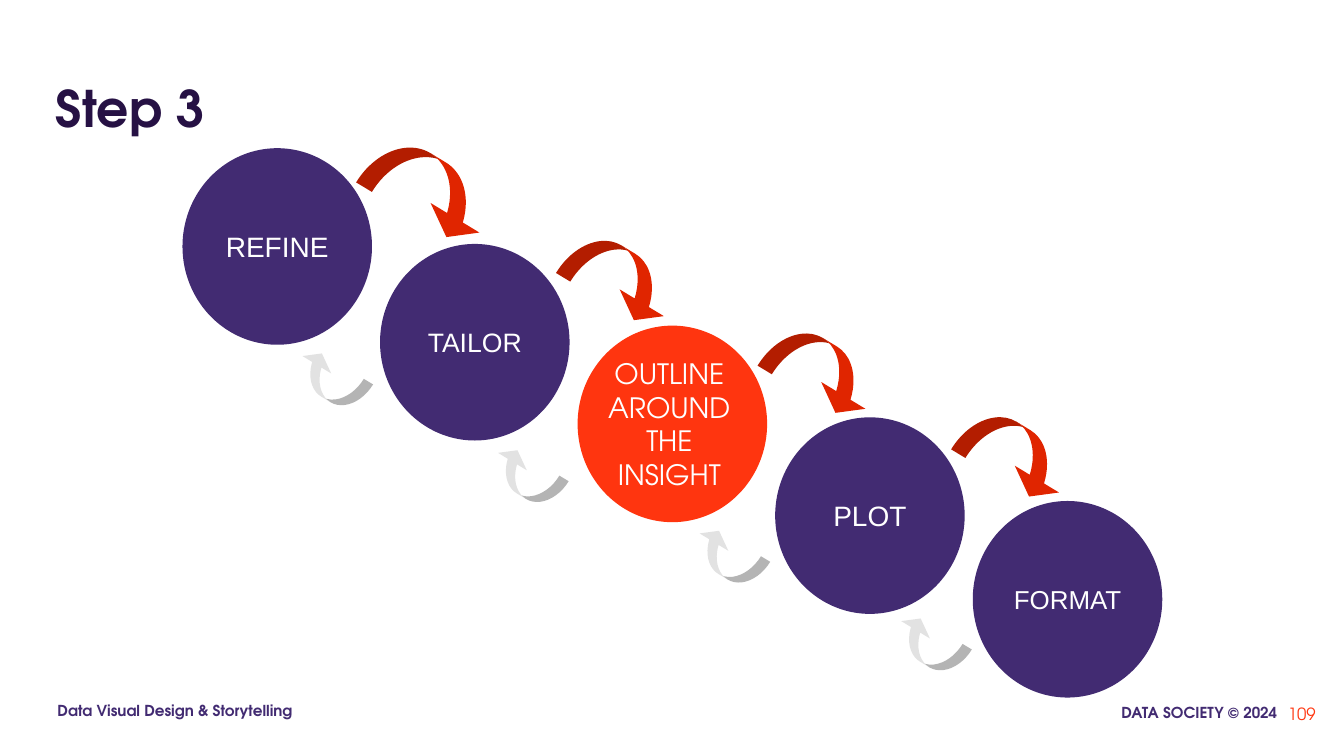
from dataclasses import dataclass

from pptx import Presentation
from pptx.dml.color import RGBColor as Rgb
from pptx.enum.shapes import MSO_SHAPE as Preset
from pptx.enum.text import MSO_ANCHOR as Anchor, PP_ALIGN as Align
from pptx.util import Inches, Pt

WIDTH, HEIGHT = Inches(13.33), Inches(7.5)


@dataclass(frozen=True)
class Theme:
    brand_font: str = "TeX Gyre Adventor"
    step_font: str = "Arial"
    purple: str = "422B72"
    ink: str = "261144"
    orange: str = "FF350F"
    forward: str = "E02500"
    back: str = "E2E2E2"
    white: str = "FFFFFF"
    title_size: float = 36
    step_size: float = 20
    number_size: float = 12
    footer_size: float = 10.8


THEME = Theme()
CIRCLE_SIZE = (14.1, 26)
FIRST_LEFT, STEP_PITCH = 13.58, 14.7
STEPS = [
    ("REFINE", 19.6, 20),
    ("TAILOR", 32.27, 19),
    ("", 43.07, 20),
    ("PLOT", 55.2, 20),
    ("FORMAT", 66.27, 18.5),
]
FORWARD_ARROWS = [
    (27, 20.93, 9.98, 8.4),
    (41.85, 33.07, 8.7, 7.6),
    (56.85, 45.33, 8.7, 7.6),
    (71.25, 56.4, 8.7, 7.6),
]
BACK_SIZE = (5.7, 4.93)
BACK_ARROWS = [(21.75, 47.87), (36.3, 60.67), (51.3, 71.33), (66.3, 82.93)]
ARROW_TILT = 31.2
ARROW_BENDS = (0.29, 0.9, 0.33)


def share(left, top, width, height):
    return [round(percent * side / 100) for percent, side in
            zip((left, top, width, height), (WIDTH, HEIGHT, WIDTH, HEIGHT))]


def apply(target, values):
    for name, value in values.items():
        setattr(target, name, value)


def write(holder, wording, size, color, font=THEME.brand_font, bold=False,
          align=Align.LEFT, anchor=Anchor.TOP, insets=(0.1, 0.05)):
    side, end = map(Inches, insets)
    frame = holder.text_frame
    frame.text = wording
    apply(frame, {
        "word_wrap": True, "vertical_anchor": anchor,
        "margin_left": side, "margin_right": side,
        "margin_top": end, "margin_bottom": end,
    })
    line = frame.paragraphs[0]
    line.alignment = align
    lettering = line.runs[0].font
    apply(lettering, {"name": font, "size": Pt(size), "bold": bold})
    lettering.color.rgb = Rgb.from_string(color)


def add_label(slide, place, wording, size, color, **style):
    write(slide.shapes.add_textbox(*share(*place)), wording, size, color, **style)


def add_filled(slide, preset, place, color):
    figure = slide.shapes.add_shape(preset, *share(*place))
    figure.shadow.inherit = False
    figure.fill.solid()
    figure.fill.fore_color.rgb = Rgb.from_string(color)
    figure.line.fill.background()
    return figure


def add_step(slide, column, wording, top, size):
    place = (FIRST_LEFT + column * STEP_PITCH, top, *CIRCLE_SIZE)
    circle = add_filled(slide, Preset.OVAL, place,
                        THEME.purple if wording else THEME.orange)
    if wording:
        write(circle, wording, size, THEME.white, font=THEME.step_font,
              align=Align.CENTER, anchor=Anchor.MIDDLE)


def add_arrow(slide, place, color, tilt):
    arrow = add_filled(slide, Preset.CURVED_DOWN_ARROW, place, color)
    arrow.rotation = tilt
    for index, bend in enumerate(ARROW_BENDS):
        arrow.adjustments[index] = bend


def add_title(slide, wording):
    title = slide.shapes.title
    apply(title, dict(zip(("left", "top", "width", "height"),
                          share(3.38, 7.73, 93.15, 11.2))))
    write(title, wording, THEME.title_size, THEME.ink, bold=True,
          anchor=Anchor.BOTTOM)


def add_footer(slide):
    footer = {"size": THEME.footer_size, "color": THEME.purple,
              "bold": True, "insets": (0.12, 0.12)}
    add_label(slide, (79.28, 91.87, 16.65, 5.6), "DATA SOCIETY © 2024",
              align=Align.RIGHT, **footer)
    add_label(slide, (3.38, 91.6, 20.55, 5.6),
              "Data Visual Design & Storytelling", **footer)
    add_label(slide, (92.63, 90.67, 6, 7.6), "109", THEME.number_size,
              THEME.orange, align=Align.RIGHT, anchor=Anchor.MIDDLE)


def main():
    deck = Presentation()
    apply(deck, {"slide_width": WIDTH, "slide_height": HEIGHT})
    slide = deck.slides.add_slide(deck.slide_layouts.get_by_name("Title Only"))
    add_footer(slide)
    add_title(slide, "Step 3")
    for column, step in enumerate(STEPS):
        add_step(slide, column, *step)
    for place in FORWARD_ARROWS:
        add_arrow(slide, place, THEME.forward, ARROW_TILT)
    for corner in BACK_ARROWS:
        add_arrow(slide, (*corner, *BACK_SIZE), THEME.back, ARROW_TILT + 180)
    add_label(slide, (43.8, 46.53, 12, 19.33), "OUTLINE AROUND THE INSIGHT",
              THEME.step_size, THEME.white, align=Align.CENTER)
    deck.save("out.pptx")


if __name__ == "__main__":
    main()
